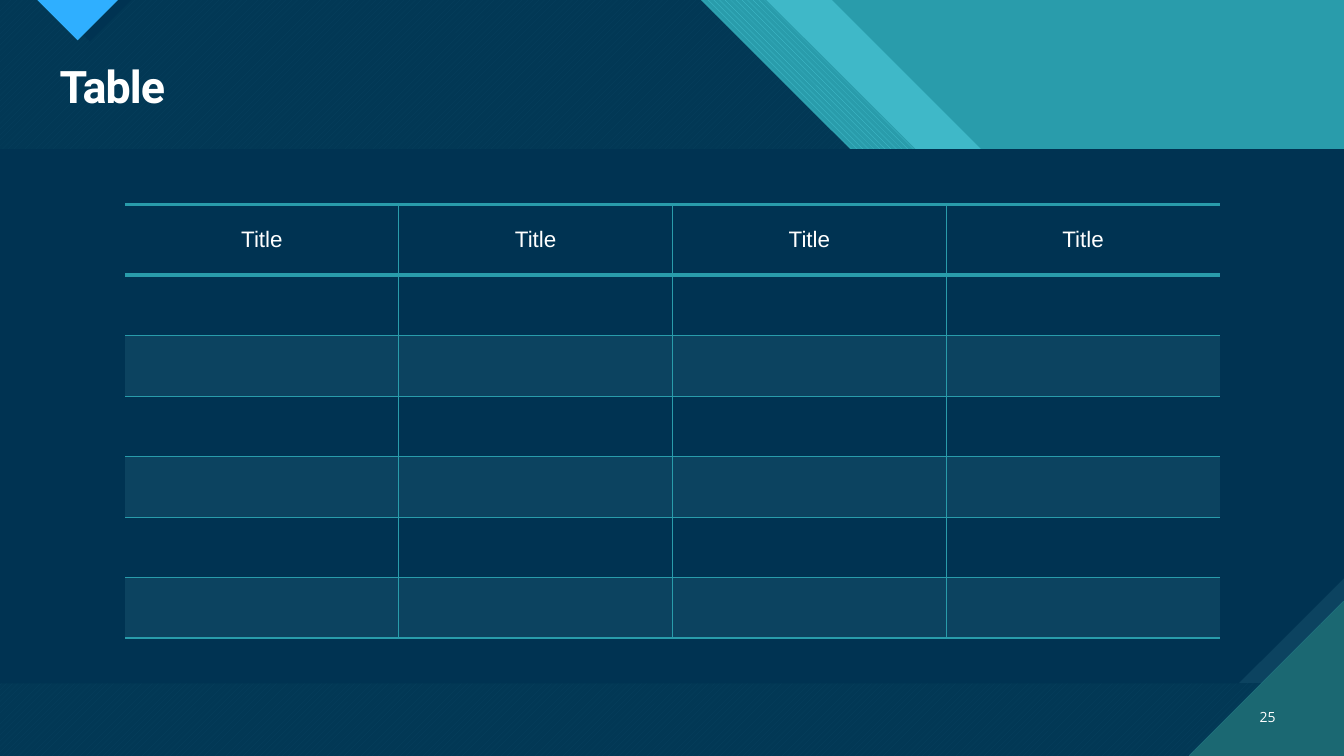
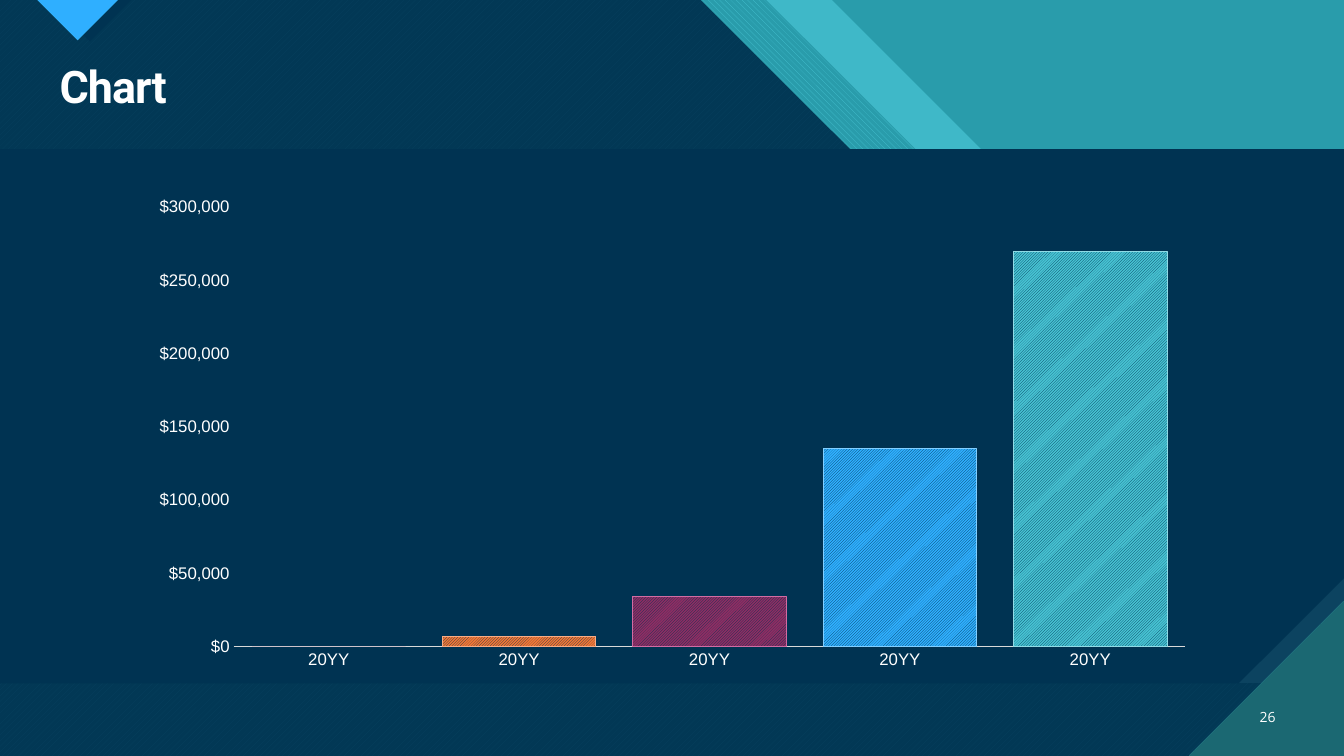
from lxml.etree import SubElement
from pptx import Presentation
from pptx.chart.data import CategoryChartData
from pptx.dml.color import RGBColor
from pptx.enum.chart import XL_CHART_TYPE, XL_TICK_MARK
from pptx.enum.dml import MSO_PATTERN
from pptx.enum.shapes import MSO_SHAPE
from pptx.enum.text import MSO_ANCHOR, PP_ALIGN
from pptx.oxml.ns import qn
from pptx.util import Inches, Pt

WIDE, HIGH = 13.33, 7.5
COLORS = {
    "navy": "003352",
    "steel": "0C4360",
    "teal": "299CAB",
    "aqua": "47C3D3",
    "pine": "1B6872",
    "blue": "2FAFFF",
    "plum": "8F2D63",
    "orange": "F47735",
    "white": "FFFFFF",
    "gray": "D9D9D9",
}


def tint(name):
    return RGBColor.from_string(COLORS[name])


def hatch(fill, pattern, fore, back):
    fill.patterned()
    fill.pattern = pattern
    fill.fore_color.rgb = tint(fore)
    fill.back_color.rgb = tint(back)


def paint(shape, fore, back=None, pattern=None, alpha=None):
    shape.shadow.inherit = False
    shape.line.fill.background()
    if pattern:
        hatch(shape.fill, pattern, fore, back)
        return
    shape.fill.solid()
    shape.fill.fore_color.rgb = tint(fore)
    if alpha:
        color = shape.element.spPr.find(qn("a:solidFill"))[0]
        SubElement(color, qn("a:alpha")).set("val", str(alpha * 1000))


def style(font, size, name="Arial", color="white", bold=False):
    font.size = Pt(size)
    font.name = name
    font.bold = bold
    font.color.rgb = tint(color)


def outline(shapes, points):
    points = [(Inches(x), Inches(y)) for x, y in points]
    path = shapes.build_freeform(*points[0])
    path.add_line_segments(points[1:], close=True)
    return path.convert_to_shape()


def add_wing(shapes, left, top, knee):
    drop = 2.97
    return outline(shapes, [
        (left, 0), (top, 0), (top + drop, drop), (knee, drop),
        (WIDE, drop + WIDE - knee), (WIDE, HIGH), (left, HIGH)])


def add_notch(shapes, left, depth):
    return outline(shapes, [
        (left, 0), (left + depth, depth), (left + 2 * depth, 0)])


def add_panel(shapes, box, snip):
    panel = shapes.add_shape(
        MSO_SHAPE.SNIP_1_RECTANGLE, *map(Inches, box))
    panel.adjustments[0] = snip
    panel.element.spPr.find(qn("a:xfrm")).set("flipV", "1")
    return panel


def add_base(slide):
    shapes = slide.shapes
    first = len(shapes)
    paint(shapes.add_shape(
        MSO_SHAPE.RECTANGLE, 0, 0, Inches(WIDE), Inches(HIGH)), "teal")
    paint(add_wing(shapes, 0, 8.25, 12.34), "aqua", alpha=74)
    paint(add_wing(shapes, 0.66, 7.6, 11.84), "aqua", "teal",
          MSO_PATTERN.WIDE_DOWNWARD_DIAGONAL)
    paint(add_wing(shapes, 0, 6.95, 11.18), "aqua", "pine",
          MSO_PATTERN.WIDE_UPWARD_DIAGONAL)
    paint(add_wing(shapes, 0, 6.95, 11.18), "navy", alpha=90)
    paint(add_notch(shapes, 0.48, 0.41), "navy")
    paint(add_notch(shapes, 0.37, 0.4), "blue", "pine",
          MSO_PATTERN.DARK_HORIZONTAL)
    body = (0, 1.48, WIDE, 5.3)
    paint(add_panel(shapes, body, 0), "steel", "pine",
          MSO_PATTERN.DARK_VERTICAL)
    paint(add_panel(shapes, body, 0.197), "navy")
    side = 1.54
    paint(outline(shapes, [
        (WIDE - side, HIGH), (WIDE, HIGH), (WIDE, HIGH - side)]),
        "pine", "aqua", MSO_PATTERN.DARK_HORIZONTAL)

    layout = slide.slide_layout
    layout.background.fill.solid()
    layout.background.fill.fore_color.rgb = tint("aqua")
    for spot, shape in enumerate(list(shapes)[first:], 2):
        layout.shapes.element.insert(spot, shape.element)


def add_title(slide, text, box):
    title = slide.shapes.title
    title.left, title.top, title.width, title.height = map(Inches, box)
    frame = title.text_frame
    frame.text = text
    frame.vertical_anchor = MSO_ANCHOR.MIDDLE
    line = frame.paragraphs[0]
    line.alignment = PP_ALIGN.LEFT
    line.line_spacing = 0.9
    run = line.runs[0]
    style(run.font, 32, "Roboto", bold=True)
    run.font.element.set("spc", "-70") if hasattr(run.font, "element") \
        else line.runs[0].font._element.set("spc", "-70")


def add_number(slide, number, box):
    frame = slide.shapes.add_textbox(*map(Inches, box)).text_frame
    frame.word_wrap = True
    frame.vertical_anchor = MSO_ANCHOR.MIDDLE
    frame.text = str(number)
    line = frame.paragraphs[0]
    line.alignment = PP_ALIGN.RIGHT
    style(line.runs[0].font, 10, "Open Sans")


def set_border(cell, sides):
    props = cell._tc.get_or_add_tcPr()
    for side, width in sides.items():
        line = SubElement(props, qn("a:ln" + side))
        line.set("w", str(Pt(width)))
        if width:
            fill = SubElement(line, qn("a:solidFill"))
            SubElement(fill, qn("a:srgbClr")).set("val", COLORS["teal"])
        else:
            SubElement(line, qn("a:noFill"))


def add_grid(slide, heads, count, box):
    left, top, width, height = map(Inches, box)
    cols, rows = len(heads), count + 1
    table = slide.shapes.add_table(
        rows, cols, left, top, width, height).table
    for col in table.columns:
        col.width = width // cols
    first = Inches(0.7)
    for row in table.rows:
        row.height = (height - first) // count
    table.rows[0].height = first
    for r in range(rows):
        for c in range(cols):
            cell = table.cell(r, c)
            set_border(cell, {
                "L": 1 if c else 0,
                "R": 1 if c < cols - 1 else 0,
                "T": 3 if r < 2 else 1,
                "B": 1 if r else 3})
            if r and r % 2 == 0:
                cell.fill.solid()
                cell.fill.fore_color.rgb = tint("steel")
            else:
                cell.fill.background()
    for c, head in enumerate(heads):
        cell = table.cell(0, c)
        cell.text_frame.text = head
        cell.vertical_anchor = MSO_ANCHOR.MIDDLE
        line = cell.text_frame.paragraphs[0]
        line.alignment = PP_ALIGN.CENTER
        style(line.runs[0].font, 16)


def add_bars(slide, labels, values, hues, box):
    data = CategoryChartData()
    data.categories = labels
    data.add_series("Series 1", values)
    chart = slide.shapes.add_chart(
        XL_CHART_TYPE.COLUMN_CLUSTERED, *map(Inches, box), data).chart
    chart.has_legend = False
    chart.has_title = False
    style(chart.font, 12)
    for axis in (chart.category_axis, chart.value_axis):
        axis.major_tick_mark = axis.minor_tick_mark = XL_TICK_MARK.NONE
        axis.has_major_gridlines = False
        style(axis.tick_labels.font, 12)
    base = chart.category_axis.format.line
    base.color.rgb = tint("gray")
    base.width = Pt(0.75)
    scale = chart.value_axis
    scale.format.line.fill.background()
    scale.minimum_scale, scale.maximum_scale = 0, 300000
    scale.major_unit = 50000
    scale.tick_labels.number_format = "[$$-409]#,##0"
    scale.tick_labels.number_format_is_linked = False
    plot = chart.plots[0]
    plot.gap_width = 24
    plot.vary_by_categories = False
    series = plot.series[0]
    series.format.fill.solid()
    series.format.fill.fore_color.rgb = tint("plum")
    for spot, hue in enumerate(hues, 1):
        look = series.points[spot].format
        hatch(look.fill, MSO_PATTERN.LIGHT_UPWARD_DIAGONAL, "navy", hue)
        look.line.color.rgb = tint(hue)
        look.line.color.brightness = 0.4
        look.line.width = Pt(0.75)


def add_page(deck, text, number):
    slide = deck.slides.add_slide(deck.slide_layouts[5])
    add_title(slide, text, (0.49, 0.59, 12.26, 0.59))
    add_number(slide, number, (12.31, 6.91, 0.44, 0.4))
    return slide


deck = Presentation()
deck.slide_width, deck.slide_height = Inches(WIDE), Inches(HIGH)

page = add_page(deck, "Table", 25)
add_base(page)
add_grid(page, ["Title"] * 4, 6, (1.24, 2.03, 10.86, 4.3))

page = add_page(deck, "Chart", 26)
add_bars(page, ["20YY"] * 5, [0, 7000, 34000, 135000, 270000],
         ["orange", "plum", "blue", "aqua"], (1.37, 1.87, 10.6, 4.86))

deck.save("out.pptx")
